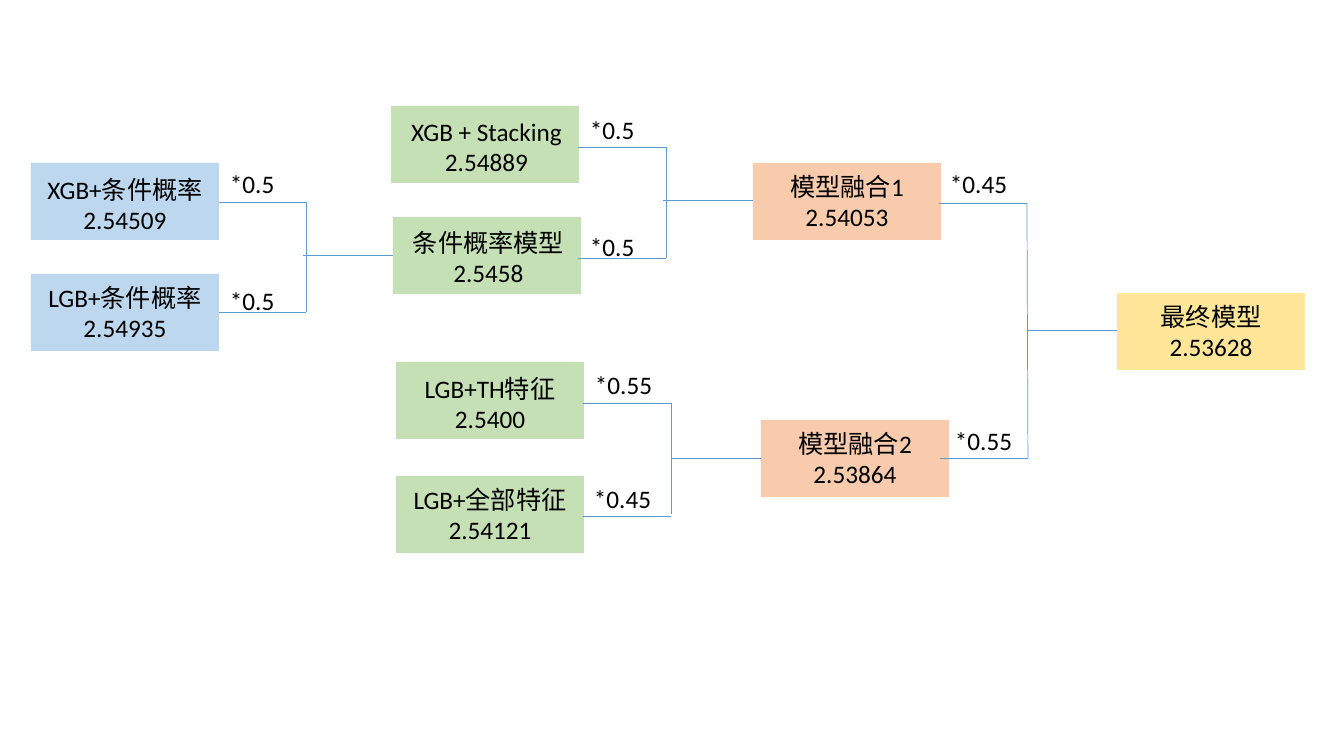
import pptx
import pptx.dml.color
import pptx.enum.shapes
import pptx.enum.text
import pptx.oxml.ns
import pptx.util
from lxml import etree

EMU_PER_PIXEL = 914400 / 100.8
BLUE, GREEN, ORANGE, YELLOW = "BDD7EE", "C5E0B4", "F8CBAD", "FFE699"
BOX_WIDTH, BOX_HEIGHT, CAPTION_HEIGHT = 188, 77, 71
WEIGHT_WIDTH, WEIGHT_HEIGHT = 87, 40


def emu(pixels):
    return pptx.util.Emu(round(pixels * EMU_PER_PIXEL))


def colour(hex_string):
    return pptx.dml.color.RGBColor.from_string(hex_string)


def write_text(frame, lines, size=18, font="Calibri", text_colour="000000", align="LEFT"):
    for index, line in enumerate(lines):
        paragraph = frame.add_paragraph() if index else frame.paragraphs[0]
        paragraph.alignment = getattr(pptx.enum.text.PP_ALIGN, align)
        run = paragraph.add_run()
        run.text = line
        run.font.size = pptx.util.Pt(size)
        run.font.name = font
        run.font.color.rgb = colour(text_colour)


class Diagram:
    line_colour = "5B9BD5"
    line_width = 0.5

    def __init__(self, slide):
        self.slide = slide

    def box(self, left, top, fill):
        shape = self.slide.shapes.add_shape(
            pptx.enum.shapes.MSO_SHAPE.RECTANGLE,
            emu(left), emu(top), emu(BOX_WIDTH), emu(BOX_HEIGHT))
        shape.shadow.inherit = False
        shape.fill.solid()
        shape.fill.fore_color.rgb = colour(fill)
        shape.line.fill.background()

    def text(self, left, top, width, height, lines, **text_format):
        shape = self.slide.shapes.add_textbox(emu(left), emu(top), emu(width), emu(height))
        frame = shape.text_frame
        frame.word_wrap = True
        frame.auto_size = pptx.enum.text.MSO_AUTO_SIZE.SHAPE_TO_FIT_TEXT
        write_text(frame, lines, **text_format)

    def model(self, left, top, fill, name, score, drop=3, indent=0):
        self.box(left, top, fill)
        self.text(left + indent, top + drop, BOX_WIDTH - indent, CAPTION_HEIGHT,
                  [name, score], align="CENTER")

    def weight(self, left, top, value):
        self.text(left, top, WEIGHT_WIDTH, WEIGHT_HEIGHT, [f"*{value}"])

    def line(self, start, end):
        connector = self.slide.shapes.add_connector(
            pptx.enum.shapes.MSO_CONNECTOR.STRAIGHT, *map(emu, start + end))
        connector.line.color.rgb = colour(self.line_colour)
        connector.line.width = pptx.util.Pt(self.line_width)
        properties = connector._element.spPr
        etree.SubElement(properties, pptx.oxml.ns.qn("a:effectLst"))

    def merge(self, upper, lower, spine_end, output_start, output_end):
        """Join two inputs, each (left, right, y), and lead on to the next model."""
        for left, right, y in (upper, lower):
            self.line((left, y), (right, y))
        self.line((upper[1], upper[2]), (lower[1], spine_end))
        self.line(output_start, output_end)


presentation = pptx.Presentation()
presentation.slide_width, presentation.slide_height = emu(1344), emu(756)
diagram = Diagram(presentation.slides.add_slide(presentation.slide_layouts[6]))

# Models with their scores, stage by stage
diagram.model(31, 163, BLUE, "XGB+条件概率", "2.54509", drop=6)
diagram.model(31, 274, BLUE, "LGB+条件概率", "2.54935")
diagram.model(391, 106, GREEN, "XGB + Stacking", "2.54889", drop=5, indent=3)
diagram.model(393, 217, GREEN, "条件概率模型", "2.5458", drop=5, indent=3)
diagram.model(396, 362, GREEN, "LGB+TH特征", "2.5400", drop=6)
diagram.model(396, 476, GREEN, "LGB+全部特征", "2.54121")
diagram.model(753, 163, ORANGE, "模型融合1", "2.54053")
diagram.model(761, 420, ORANGE, "模型融合2", "2.53864")
diagram.model(1117, 293, YELLOW, "最终模型", "2.53628")

# Brackets that merge two models into the next
diagram.merge((219, 306, 202), (219, 306, 312), 312, (303, 255), (393, 255))
diagram.merge((578, 666, 147), (578, 666, 258), 258, (663, 200), (753, 200))
diagram.merge((583, 671, 403), (583, 671, 516), 514, (671, 458), (761, 458))
diagram.merge((939, 1027, 203), (940, 1028, 458), 458, (1028, 330), (1117, 330))

# Blending weights
for left, top, value in [
    (220, 163, "0.5"), (220, 280, "0.5"),
    (580, 109, "0.5"), (580, 226, "0.5"),
    (585, 364, "0.55"), (584, 478, "0.45"),
    (940, 163, "0.45"), (945, 420, "0.55"),
]:
    diagram.weight(left, top, value)

presentation.save("out.pptx")
